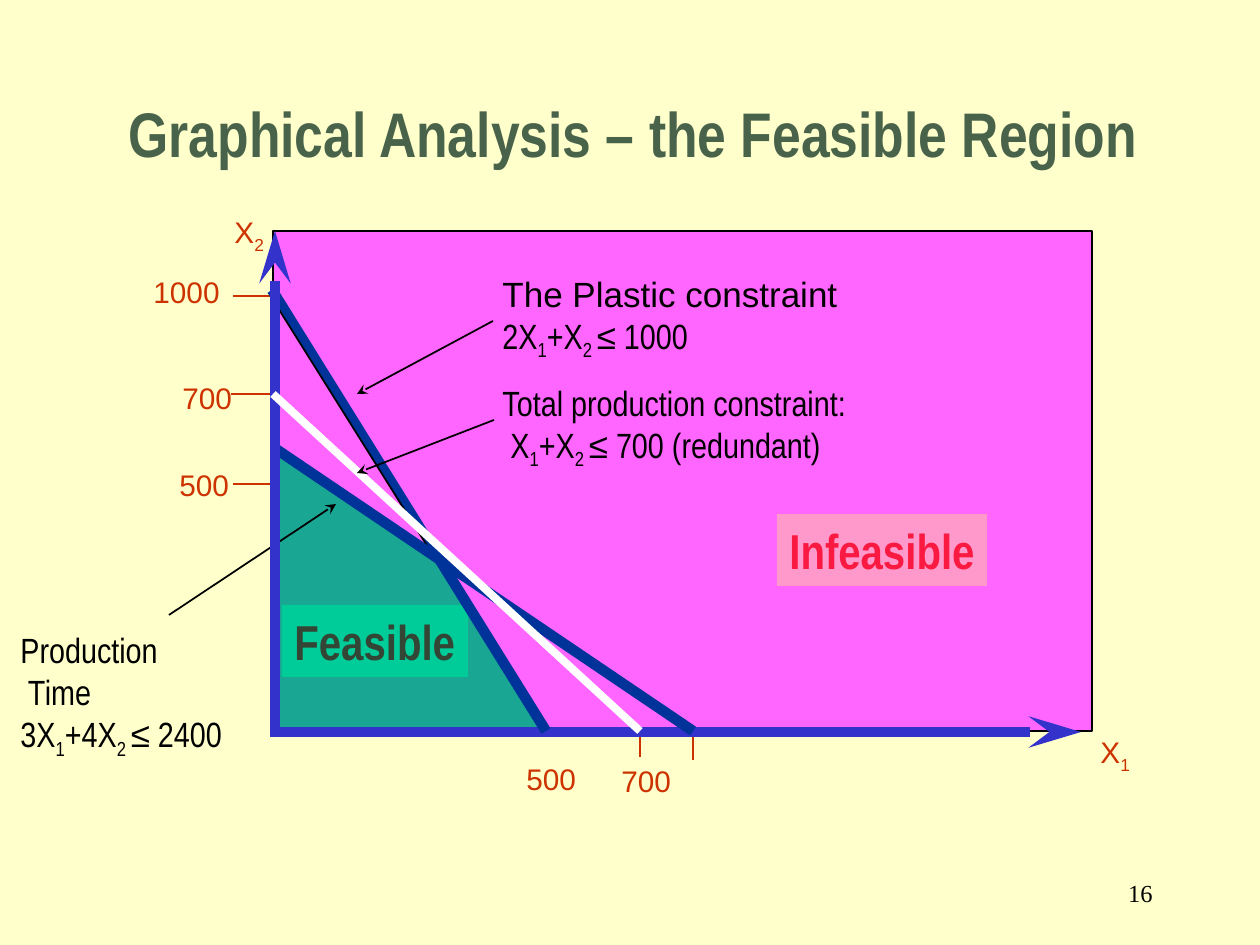
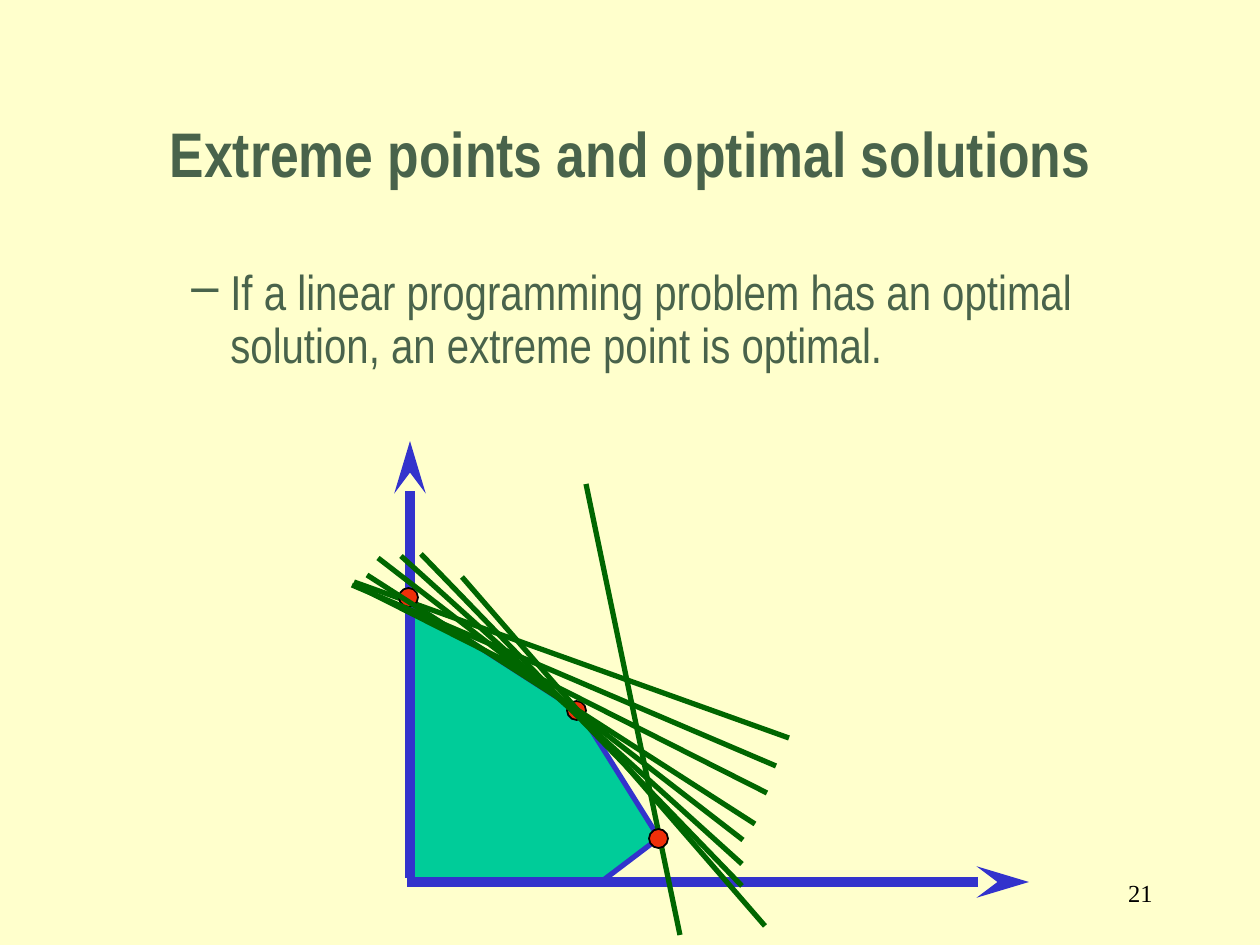
from lxml.etree import SubElement
from pptx import Presentation
from pptx.dml.color import RGBColor
from pptx.enum.shapes import MSO_CONNECTOR, MSO_SHAPE
from pptx.enum.text import MSO_ANCHOR, MSO_AUTO_SIZE, PP_ALIGN
from pptx.oxml.ns import qn
from pptx.util import Pt

PX = 914400 / 126
NARROW, SANS, SERIF = "Arial Narrow", "Arial", "Times New Roman"
CREAM, MOSS, BLACK, WHITE = "FFFFCC", "49634B", "000000", "FFFFFF"
RUST, AXIS, NAVY, PINK = "CC3300", "3333CC", "003399", "FF66FF"
MINT, GREEN, RED = "00CC99", "006600", "EF2F09"


def rgb(code):
    return RGBColor.from_string(code)


def emu(*nums):
    return [round(n * PX) for n in nums]


def put(obj, **vals):
    for name, val in vals.items():
        setattr(obj, name, val)


class Deck:
    """Holds the shared style and the slide being filled."""

    def __init__(self):
        self.prs = Presentation()
        wide, high = emu(1260, 945)
        put(self.prs, slide_width=wide, slide_height=high)
        back = self.prs.slide_master.background.fill
        back.solid()
        back.fore_color.rgb = rgb(CREAM)

    def start(self, title, box, align, num):
        """Adds a slide with its title and page number."""
        self.slide = self.prs.slides.add_slide(self.prs.slide_layouts[5])
        self.shapes = self.slide.shapes
        head = self.shapes.title
        left, top, width, height = emu(*box)
        put(head, left=left, top=top, width=width, height=height)
        put(head.text_frame, auto_size=MSO_AUTO_SIZE.NONE, word_wrap=True,
            vertical_anchor=MSO_ANCHOR.MIDDLE)
        para = head.text_frame.paragraphs[0]
        para.alignment = align
        self.runs(para, title, NARROW, 36, MOSS, True)
        self.text((903, 861, 262, 63), [num], SERIF, 14, align=PP_ALIGN.RIGHT,
                  anchor=MSO_ANCHOR.MIDDLE, wrap=True)

    def runs(self, para, text, face, size, hue, bold=False):
        """Writes text, with the parts between ~ marks as subscripts."""
        for i, part in enumerate(text.split("~")):
            for bit in filter(None, part.partition("≤")):
                run = para.add_run()
                run.text = bit
                put(run.font, name=SANS if bit == "≤" else face,
                    size=Pt(size), bold=bold)
                run.font.color.rgb = rgb(hue)
                if i % 2:
                    run.font._element.set("baseline", "-25000")

    def text(self, box, lines, face=NARROW, size=20, hue=BLACK, bold=False,
             first=None, fill=None, align=PP_ALIGN.LEFT,
             anchor=MSO_ANCHOR.TOP, wrap=False):
        """Adds a text box; first is the font of its first paragraph."""
        item = self.shapes.add_textbox(*emu(*box))
        if fill:
            item.fill.solid()
            item.fill.fore_color.rgb = rgb(fill)
        frame = item.text_frame
        put(frame, word_wrap=wrap, vertical_anchor=anchor)
        for i, line in enumerate(lines):
            para = frame.add_paragraph() if i else frame.paragraphs[0]
            para.alignment = align
            rows = line.split("\n")
            for j, row in enumerate(rows):
                if j:
                    para.add_line_break()
                self.runs(para, row, face if i else first or face,
                          size, hue, bold)
        return frame

    def point(self, box, text):
        para = self.text(box, [text], size=28, hue=MOSS,
                         wrap=True).paragraphs[0]
        put(para, line_spacing=0.9, space_before=Pt(7))
        props = para._p.get_or_add_pPr()
        left, hang = emu(102, -39)
        props.set("marL", str(left))
        props.set("indent", str(hang))
        SubElement(props, qn("a:buChar")).set("char", "–")

    def paint(self, item, fill, edge, width):
        item.shadow.inherit = False
        item.fill.solid()
        item.fill.fore_color.rgb = rgb(fill)
        if edge:
            item.line.color.rgb = rgb(edge)
            item.line.width = Pt(width)
        else:
            item.line.fill.background()

    def shape(self, kind, box, fill, edge=None, width=1):
        self.paint(self.shapes.add_shape(kind, *emu(*box)), fill, edge, width)

    def area(self, spots, fill, edge, width):
        pen = self.shapes.build_freeform(*spots[0], scale=PX)
        pen.add_line_segments(spots[1:], close=False)
        self.paint(pen.convert_to_shape(), fill, edge, width)

    def line(self, ends, hue, width=1, tip=None):
        """Draws a line; tip is the length of the arrowhead at its end."""
        item = self.shapes.add_connector(MSO_CONNECTOR.STRAIGHT, *emu(*ends))
        item.line.color.rgb = rgb(hue)
        item.line.width = Pt(width)
        props = item.element.spPr
        if tip:
            end = SubElement(props.find(qn("a:ln")), qn("a:tailEnd"))
            for name, val in {"type": "stealth", "w": "med", "len": tip}.items():
                end.set(name, val)
        SubElement(props, qn("a:effectLst"))

    def axis(self, *ends):
        self.line(ends, AXIS, 6, "lg")


def region(deck):
    deck.start("Graphical Analysis – the Feasible Region",
               (116, 53, 1081, 158), PP_ALIGN.LEFT, "16")
    deck.shape(MSO_SHAPE.RECTANGLE, (273, 231, 819, 500), PINK, BLACK)
    for tick in ((233, 296, 272, 296), (233, 484, 272, 484),
                 (640, 757, 640, 728), (693, 731, 693, 760)):
        deck.line(tick, RUST)
    deck.shape(MSO_SHAPE.RIGHT_TRIANGLE, (276, 300, 273, 431), "19A793")
    for word, box, hue, fill in (
            ("Feasible", (282, 605, 186, 72), "334635", MINT),
            ("Infeasible", (777, 514, 210, 72), "FA1941", "FF99CC")):
        deck.text(box, [word], size=28, hue=hue, bold=True, fill=fill)
    deck.text((8, 622, 232, 145),
              ["Production\n Time", "3X~1~+4X~2 ~≤ 2400"])
    deck.line((169, 615, 336, 504), BLACK, 1, "med")
    deck.text((490, 375, 400, 102),
              ["Total production constraint:", " X~1~+X~2 ~≤ 700 (redundant)"],
              wrap=True)
    deck.axis(270, 732, 1081, 732)
    deck.text((490, 266, 400, 102),
              ["The Plastic constraint", "2X~1~+X~2 ~≤ 1000"], first=SANS,
              wrap=True)
    deck.line((493, 321, 357, 394), BLACK, 1, "med")
    deck.line((272, 290, 546, 731), NAVY, 6)
    deck.area([(273, 300), (431, 552), (273, 447)], PINK, BLACK, 1)
    deck.line((273, 447, 693, 731), NAVY, 6)
    deck.axis(275, 728, 275, 231)
    deck.line((273, 394, 640, 731), WHITE, 4.5)
    deck.line((231, 394, 270, 394), RUST)
    deck.line((494, 420, 357, 473), BLACK, 1, "med")
    for label, left, top, width in (
            ("1000", 141, 268, 92), ("700", 170, 374, 76),
            ("500", 167, 461, 76), ("500", 514, 755, 76),
            ("700", 609, 757, 76), ("X~2", 222, 208, 55),
            ("X~1", 1088, 728, 55)):
        deck.text((left, top, width, 48), [label], SANS, 17, RUST)


def extremes(deck):
    deck.start("Extreme points and optimal solutions",
               (32, 116, 1197, 73), PP_ALIGN.CENTER, "21")
    deck.point((116, 262, 1029, 126), "If a linear programming problem has an "
               "optimal solution, an extreme point is optimal.")
    deck.area([(410, 877), (412, 604), (580, 712), (659, 838), (601, 882)],
              MINT, AXIS, 3)
    deck.axis(410, 878, 410, 441)
    deck.axis(407, 882, 1029, 882)
    fan = ((354, 582, 789, 738), (586, 484, 680, 935), (462, 577, 765, 926),
           (421, 554, 742, 886), (401, 556, 742, 864), (378, 558, 743, 840),
           (367, 575, 755, 824), (355, 585, 767, 793), (352, 585, 776, 766))
    dots = (567, 701), (399, 588), (649, 829)
    for i, ends in enumerate(fan):
        if i < len(dots):
            deck.shape(MSO_SHAPE.OVAL, (*dots[i], 19, 19), RED, BLACK)
        deck.line(ends, GREEN, 3)


def main():
    deck = Deck()
    region(deck)
    extremes(deck)
    deck.prs.save("out.pptx")


if __name__ == "__main__":
    main()
